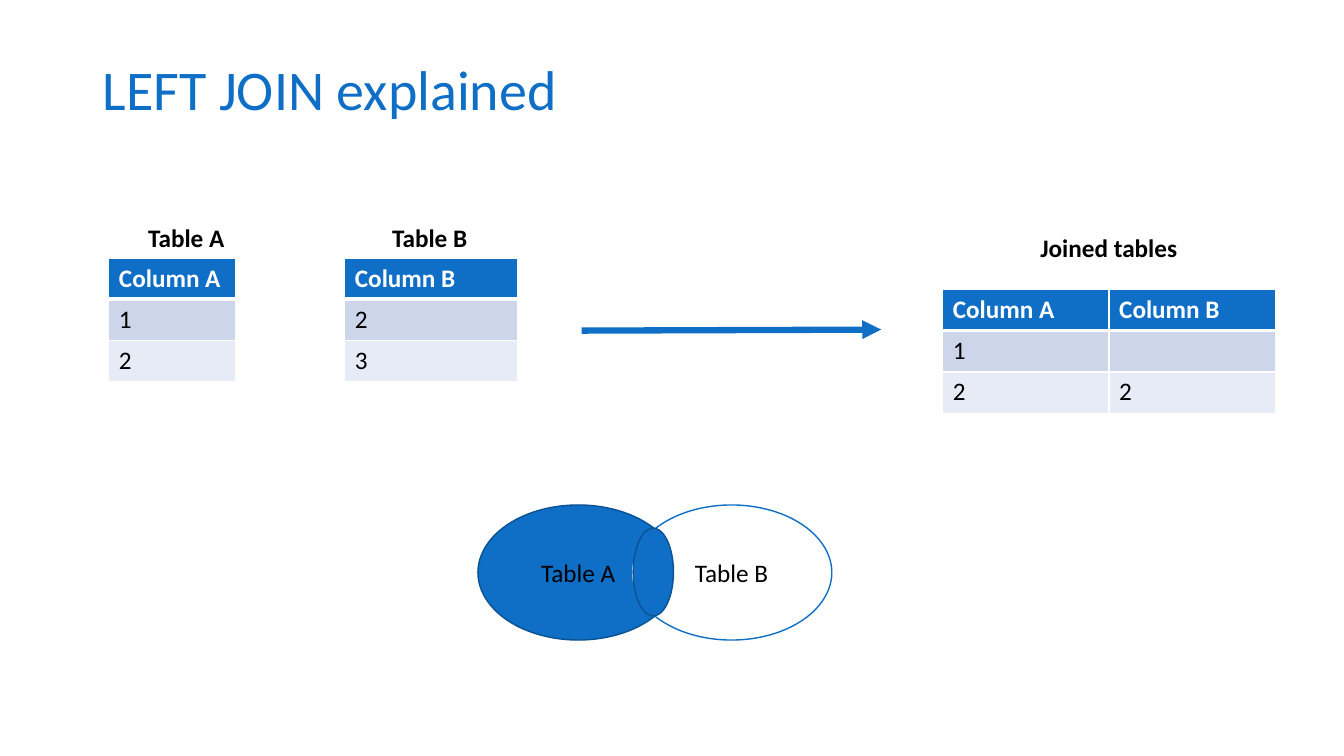
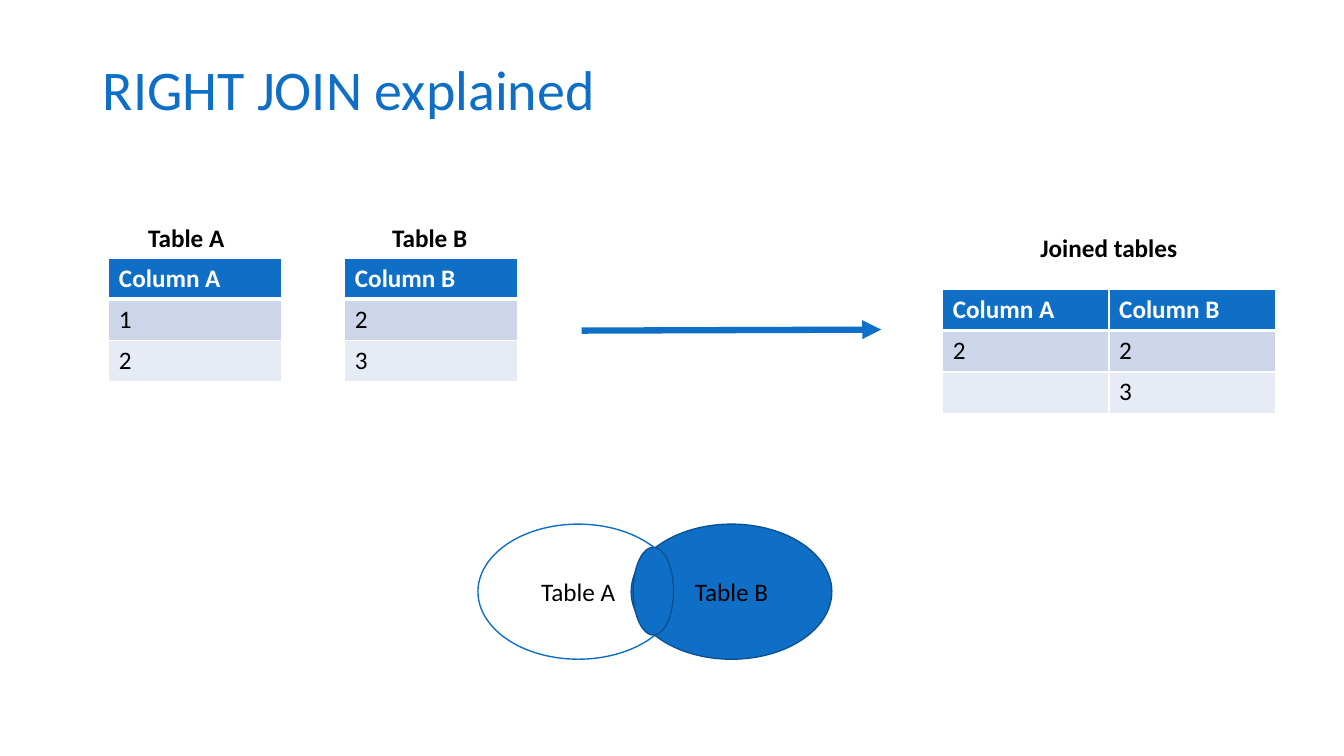
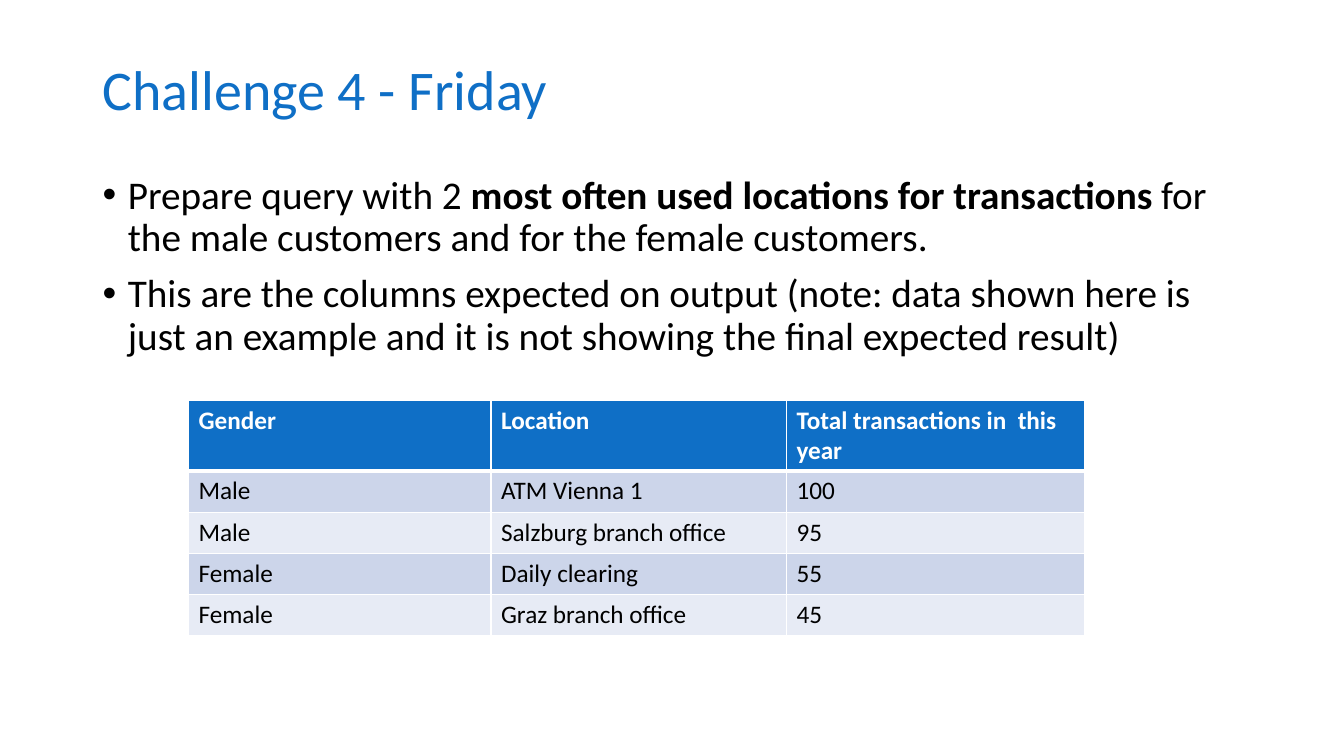
from lxml import etree
from pptx import Presentation
from pptx.dml.color import RGBColor
from pptx.enum.shapes import MSO_CONNECTOR, MSO_SHAPE
from pptx.enum.text import MSO_ANCHOR, PP_ALIGN
from pptx.oxml import parse_xml
from pptx.oxml.ns import nsdecls, qn
from pptx.util import Pt

OVAL = MSO_SHAPE.OVAL
STRAIGHT = MSO_CONNECTOR.STRAIGHT
MIDDLE, TOP = MSO_ANCHOR.MIDDLE, MSO_ANCHOR.TOP
LEFT, CENTER = PP_ALIGN.LEFT, PP_ALIGN.CENTER

PX = 9144  # 100 px to the inch
FONT = "Calibri"
BLANK_LAYOUT = 6
ROW_HEIGHT = 41
COLORS = {
    "accent": "0F6FC6",
    "edge": "0B5292",
    "band_dark": "CCD5EA",
    "band_light": "E7EBF5",
    "text": "000000",
    "white": "FFFFFF",
}
TITLE = {"size": 40, "color": "accent"}
BODY = {"size": 28, "color": "text"}
LABEL = {"size": 18, "color": "text"}
STRONG = {**LABEL, "bold": True}
HEADER = {**STRONG, "color": "white"}

# Content
JOINS = [
    {
        "title": "LEFT JOIN explained",
        "a_width": 126,
        "joined": [["Column A", "Column B"], ["1", ""], ["2", "2"]],
        "venn_top": 501,
        "kept": "Table A",
    },
    {
        "title": "RIGHT JOIN explained",
        "a_width": 171,
        "joined": [["Column A", "Column B"], ["2", "2"], ["", "3"]],
        "venn_top": 520,
        "kept": "Table B",
    },
]
TABLE_A = [["Column A"], ["1"], ["2"]]
TABLE_B = [["Column B"], ["2"], ["3"]]
TABLE_LABELS = [
    ("Table A", (137, 216, 96, 40)),
    ("Table B", (379, 216, 95, 40)),
    ("Joined tables", (1022, 226, 157, 40)),
]
VENN_SETS = [("Table A", 474), ("Table B", 626)]

CHALLENGE_TITLE = "Challenge 4 - Friday"
CHALLENGE_POINTS = [
    [
        ("Prepare query with 2 ", False),
        ("most often used locations for transactions ", True),
        ("for the male customers and for the female customers.", False),
    ],
    [
        ("This are the columns expected on output (note: data shown here is "
         "just an example and it is not showing the final expected result)", False),
    ],
]
CHALLENGE_TABLE = [
    ["Gender", "Location", "Total transactions in  this year"],
    ["Male", "ATM Vienna 1", "100"],
    ["Male", "Salzburg branch office", "95"],
    ["Female", "Daily clearing", "55"],
    ["Female", "Graz branch office", "45"],
]


def rgb(name):
    return RGBColor.from_string(COLORS[name])


def emu(lengths):
    return [length * PX for length in lengths]


def style_font(font, size, color, bold=False):
    for key, value in {"name": FONT, "size": Pt(size), "bold": bold}.items():
        setattr(font, key, value)
    font.color.rgb = rgb(color)


def add_run(paragraph, text, style):
    run = paragraph.add_run()
    run.text = text
    style_font(run.font, **style)


def add_text(slide, box, text, style, wrap=True, anchor=TOP, spacing=None):
    frame = slide.shapes.add_textbox(*emu(box)).text_frame
    frame.word_wrap, frame.vertical_anchor = wrap, anchor
    paragraph = frame.paragraphs[0]
    paragraph.alignment, paragraph.line_spacing = LEFT, spacing
    add_run(paragraph, text, style)


def add_slide(deck, title):
    slide = deck.slides.add_slide(deck.slide_layouts[BLANK_LAYOUT])
    add_text(slide, (92, 40, 1150, 104), title, TITLE, anchor=MIDDLE, spacing=0.9)
    return slide


def add_borders(cell, top, bottom):
    properties = cell._tc.get_or_add_tcPr()
    for side, points in {"L": 1, "R": 1, "T": top, "B": bottom}.items():
        properties.append(parse_xml(
            f'<a:ln{side} {nsdecls("a")} w="{Pt(points)}"><a:solidFill>'
            f'<a:srgbClr val="{COLORS["white"]}"/></a:solidFill></a:ln{side}>'))


def add_data_table(slide, left, top, widths, rows, header_height=ROW_HEIGHT):
    heights = [header_height] + [ROW_HEIGHT] * (len(rows) - 1)
    table = slide.shapes.add_table(
        len(rows), len(widths),
        *emu((left, top, sum(widths), sum(heights)))).table
    for column, width in zip(table.columns, widths):
        column.width = width * PX
    for row, (values, height) in enumerate(zip(rows, heights)):
        table.rows[row].height = height * PX
        fill = "accent" if row == 0 else "band_dark" if row % 2 else "band_light"
        for column, value in enumerate(values):
            cell = table.cell(row, column)
            add_borders(cell, 3 if row == 1 else 1, 3 if row == 0 else 1)
            cell.fill.solid()
            cell.fill.fore_color.rgb = rgb(fill)
            paragraph = cell.text_frame.paragraphs[0]
            if value:
                add_run(paragraph, value, LABEL if row else HEADER)
            else:
                style_font(paragraph.font, **LABEL)


def add_arrow(slide, start, end):
    arrow = slide.shapes.add_connector(STRAIGHT, *emu(start + end))
    arrow.line.color.rgb = rgb("accent")
    arrow.line.width = Pt(4.5)
    etree.SubElement(arrow.line._get_or_add_ln(), qn("a:tailEnd"), type="triangle")
    etree.SubElement(arrow._element.spPr, qn("a:effectLst"))


def add_oval(slide, box, filled, text=""):
    oval = slide.shapes.add_shape(OVAL, *emu(box))
    oval.shadow.inherit = False
    oval.fill.solid()
    oval.fill.fore_color.rgb = rgb("accent" if filled else "white")
    oval.line.color.rgb = rgb("edge" if filled else "accent")
    oval.line.width = Pt(1)
    if text:
        oval.text_frame.vertical_anchor = MIDDLE
        paragraph = oval.text_frame.paragraphs[0]
        paragraph.alignment = CENTER
        add_run(paragraph, text, LABEL)


def add_bullets(slide, box, points):
    frame = slide.shapes.add_textbox(*emu(box)).text_frame
    frame.word_wrap = True
    for index, runs in enumerate(points):
        paragraph = frame.add_paragraph() if index else frame.paragraphs[0]
        paragraph.line_spacing = 0.9
        paragraph.space_before = Pt(10 if index else 0)
        properties = paragraph._p.get_or_add_pPr()
        properties.set("marL", str(25 * PX))
        properties.set("indent", str(-25 * PX))
        etree.SubElement(properties, qn("a:buFont"), typeface="Arial")
        etree.SubElement(properties, qn("a:buChar"), char="•")
        for text, bold in runs:
            add_run(paragraph, text, {**BODY, "bold": bold})


def build_join(deck, join):
    slide = add_slide(deck, join["title"])
    # Source tables and the joined result
    add_data_table(slide, 108, 256, [join["a_width"]], TABLE_A)
    add_data_table(slide, 342, 256, [171], TABLE_B)
    add_data_table(slide, 935, 287, [165, 165], join["joined"])
    for text, box in TABLE_LABELS:
        add_text(slide, box, text, STRONG, wrap=False)
    add_arrow(slide, (577, 328), (874, 327))
    # Venn diagram
    top = join["venn_top"]
    for text, left in VENN_SETS:
        add_oval(slide, (left, top, 199, 134), text == join["kept"], text)
    add_oval(slide, (628, top + 23, 40, 87), True)


def build_challenge(deck):
    slide = add_slide(deck, CHALLENGE_TITLE)
    add_bullets(slide, (92, 169, 1150, 506), CHALLENGE_POINTS)
    add_data_table(slide, 187, 397, [300, 293, 296], CHALLENGE_TABLE, header_height=70)


def main():
    deck = Presentation()
    deck.slide_width, deck.slide_height = emu((1333, 750))
    for join in JOINS:
        build_join(deck, join)
    build_challenge(deck)
    deck.save("out.pptx")


if __name__ == "__main__":
    main()
